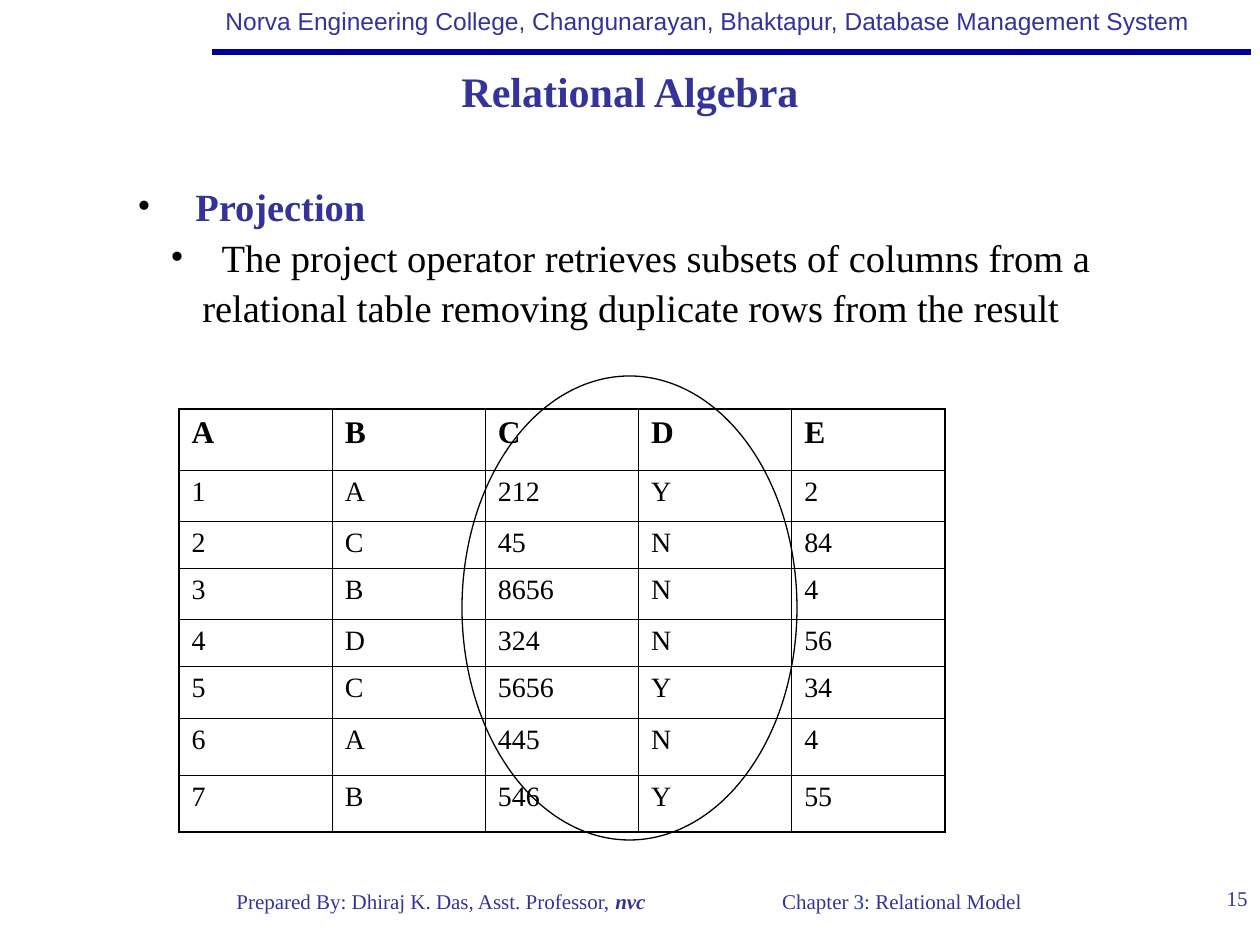
"""Build the relational algebra slide on the projection operator."""
from lxml import etree
from pptx import Presentation, util as u
from pptx.dml.color import RGBColor
from pptx.enum import shapes, text
from pptx.oxml.ns import qn

BLUE = RGBColor(0x33, 0x33, 0x99)
NAVY = RGBColor(0x00, 0x00, 0x99)
BLACK = RGBColor(0x00, 0x00, 0x00)
SERIF = "Times New Roman"
CENTER = text.PP_ALIGN.CENTER


def px(*nums):
    return [u.Emu(round(n * 914400 / 126)) for n in nums]


def style(par, size, color=BLUE, face=SERIF, bold=None):
    par.font.size = u.Pt(size)
    par.font.name = face
    par.font.bold = bold
    par.font.color.rgb = color


deck = Presentation()
deck.slide_width, deck.slide_height = px(1260, 945)
slide = deck.slides.add_slide(deck.slide_layouts[5])

rule = slide.shapes.add_connector(shapes.MSO_CONNECTOR.STRAIGHT, *px(212, 52, 1251, 52))
rule.line.color.rgb = NAVY
rule.line.width = u.Pt(3)
etree.SubElement(rule._element.spPr, qn("a:effectLst"))

labels = [
    ((213, 0, 1040, 43), ["Norva Engineering College, Changunarayan, Bhaktapur, Database Management System"],
     14, "Arial", text.PP_ALIGN.LEFT, True),
    ((179, 882, 524, 63), ["Prepared By: Dhiraj K. Das, Asst. Professor, ", "nvc"], 12, SERIF, CENTER, False),
    ((640, 882, 524, 63), ["Chapter 3: Relational Model"], 12, SERIF, CENTER, False),
    ((1187, 879, 73, 63), ["15"], 12, SERIF, text.PP_ALIGN.RIGHT, True),
]
for place, parts, size, face, align, wrap in labels:
    frame = slide.shapes.add_textbox(*px(*place)).text_frame
    frame.word_wrap = wrap
    par = frame.paragraphs[0]
    par.alignment = align
    style(par, size, face=face)
    for part in parts:
        run = par.add_run()
        run.text = part
        if part == "nvc":
            run.font.bold = run.font.italic = True

body = slide.shapes.add_textbox(*px(54, 172, 1124, 217)).text_frame
body.word_wrap = True
points = [
    (["Projection"], BLUE, True, 129, -58),
    ([" ", "The project operator retrieves subsets of columns from a relational table "
      "removing duplicate rows from the result"], BLACK, False, 136, -32),
]
for level, (parts, color, bold, margin, indent) in enumerate(points):
    par = body.paragraphs[0] if level == 0 else body.add_paragraph()
    for part in parts:
        run = par.add_run()
        run.text = part
        if part == " ":
            run._r.get_or_add_rPr().set("spc", "550")
    par.level = level
    par.line_spacing = 1.1
    style(par, 22, color, bold=bold)
    props = par._p.get_or_add_pPr()
    left, hang = px(margin, indent)
    props.set("marL", str(left))
    props.set("indent", str(hang))
    tint = etree.SubElement(props, qn("a:buClr"))
    etree.SubElement(tint, qn("a:srgbClr"), val=str(BLACK))
    etree.SubElement(props, qn("a:buFont"), typeface=SERIF)
    etree.SubElement(props, qn("a:buChar"), char="•")
    props.append(props.find(qn("a:defRPr")))

rows = [
    "A B C D E", "1 A 212 Y 2", "2 C 45 N 84", "3 B 8656 N 4",
    "4 D 324 N 56", "5 C 5656 Y 34", "6 A 445 N 4", "7 B 546 Y 55",
]
highs = [61, 51, 47, 51, 47, 52, 57, 57]
grid = slide.shapes.add_table(8, 5, *px(179, 409, 766, sum(highs))).table
grid.first_row = grid.horz_banding = False
for col in grid.columns:
    col.width = px(153.2)[0]
for r, (row, high) in enumerate(zip(rows, highs)):
    grid.rows[r].height = px(high)[0]
    for c, words in enumerate(row.split()):
        cell = grid.cell(r, c)
        cell.text = words
        par = cell.text_frame.paragraphs[0]
        par.space_before = u.Pt(4 if r else 4.5)
        style(par, 16 if r else 18, BLACK, bold=r == 0)
        props = cell._tc.get_or_add_tcPr()
        edges = {"L": c == 0, "R": c == 4, "T": r == 0, "B": r == 7}
        for side, outer in edges.items():
            width = u.Pt(1.08 if outer else 0.45)
            edge = etree.SubElement(props, qn("a:ln" + side), w=str(width))
            fill = etree.SubElement(edge, qn("a:solidFill"))
            etree.SubElement(fill, qn("a:srgbClr"), val=str(BLACK))
        cell.fill.background()

ring = slide.shapes.add_shape(shapes.MSO_SHAPE.OVAL, *px(462, 376, 335, 464))
ring.shadow.inherit = False
ring.fill.background()
ring.line.color.rgb = BLACK
ring.line.width = u.Pt(0.75)

title = slide.shapes.title
title.left, title.top, title.width, title.height = px(0, 54, 1260, 73)
title.text_frame.text = "Relational Algebra"
title.text_frame.vertical_anchor = text.MSO_ANCHOR.MIDDLE
par = title.text_frame.paragraphs[0]
par.alignment = CENTER
style(par, 24, bold=True)

deck.save("out.pptx")
